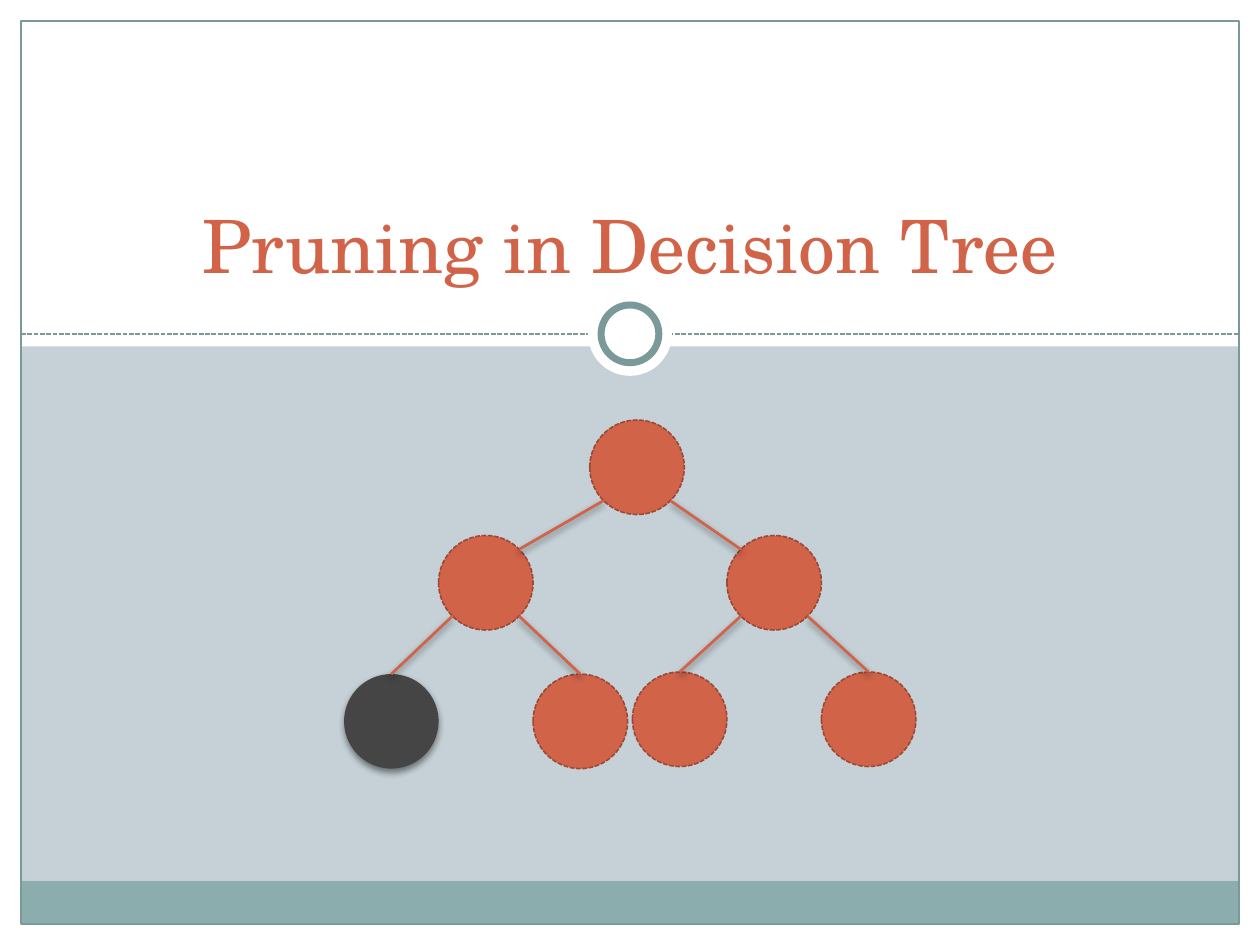
from dataclasses import dataclass
from math import sqrt

from lxml.etree import SubElement
from pptx import Presentation
from pptx.dml.color import RGBColor
from pptx.enum.dml import MSO_LINE
from pptx.enum.shapes import MSO_CONNECTOR, MSO_SHAPE
from pptx.enum.text import MSO_ANCHOR, PP_ALIGN
from pptx.oxml.ns import qn
from pptx.util import Pt


@dataclass(frozen=True)
class Theme:
    """Colours, font and type size of the deck."""
    page: str = "C5D1D7"
    white: str = "FFFFFF"
    footer: str = "8CADAE"
    rule: str = "7C999A"
    accent: str = "D16349"
    node_line: str = "9B4936"
    pruned: str = "454545"
    shadow: str = "000000"
    font: str = "TeX Gyre Schola"
    title_size: float = 42


THEME = Theme()
W, H, MARGIN = 720, 540, 12


def rgb(value):
    """Turn a hex string into a colour."""
    return RGBColor.from_string(value)


def set_line(line, color, width, dashed=False):
    """Style an outline or a connector line."""
    line.color.rgb = rgb(color)
    line.width = Pt(width)
    if dashed:
        line.dash_style = MSO_LINE.SQUARE_DOT


def add_shape(shapes, kind, box, fill=None, line=None):
    """Add a preset shape; line holds colour, width and dash."""
    sp = shapes.add_shape(kind, *map(Pt, box))
    sp.shadow.inherit = False
    if fill:
        sp.fill.solid()
        sp.fill.fore_color.rgb = rgb(fill)
    else:
        sp.fill.background()
    if line:
        set_line(sp.line, *line)
    else:
        sp.line.fill.background()
    return sp


def add_line(shapes, start, end, *style):
    """Add a straight connector with an empty effect list."""
    cxn = shapes.add_connector(MSO_CONNECTOR.STRAIGHT, *map(Pt, (*start, *end)))
    set_line(cxn.line, *style)
    SubElement(cxn._element.spPr, qn("a:effectLst"))
    return cxn


def add_shadow(sp):
    """Put a soft downward shadow into the effect list."""
    effects = sp._element.spPr.find(qn("a:effectLst"))
    shadow = SubElement(effects, qn("a:outerShdw"), blurRad=str(Pt(4)),
                        dist=str(Pt(2)), dir="5400000", rotWithShape="0")
    color = SubElement(shadow, qn("a:srgbClr"), val=THEME.shadow)
    SubElement(color, qn("a:alpha"), val="45000")


def add_frame(shapes, box):
    """Draw the white margins, footer band, dashed rule and ring."""
    x, y, w, h = box
    m, rule_y, footer_h = MARGIN, y + 190.8, 24.5
    right, bottom, mid = x + w - m, y + h - m, x + w / 2
    rect, oval = MSO_SHAPE.RECTANGLE, MSO_SHAPE.OVAL
    for band in ((x, bottom, w, m), (right, y, m, h), (x, y, m, h), (x, y, w, 198)):
        add_shape(shapes, rect, band, THEME.white)
    add_shape(shapes, rect, (x + m, bottom - footer_h, w - 2 * m, footer_h), THEME.footer)
    add_line(shapes, (x + m, rule_y), (right, rule_y), THEME.rule, 0.9, True)
    add_shape(shapes, rect, (x + m, y + m, w - 2 * m, h - 2 * m), line=(THEME.rule, 0.75))
    for d, line in ((48, None), (33, (THEME.rule, 4))):
        add_shape(shapes, oval, (mid - d / 2, rule_y - d / 2, d, d), THEME.white, line)


def add_title(shapes, box, text):
    """Add the centred title resting on the bottom of its box."""
    tf = shapes.add_textbox(*map(Pt, box)).text_frame
    tf.word_wrap = True
    tf.vertical_anchor = MSO_ANCHOR.BOTTOM
    p = tf.paragraphs[0]
    p.alignment = PP_ALIGN.CENTER
    r = p.add_run()
    r.text = text
    r.font.name = THEME.font
    r.font.size = Pt(THEME.title_size)
    r.font.color.rgb = rgb(THEME.accent)


def add_tree(shapes, box):
    """Draw a three-level binary tree whose first leaf is pruned."""
    x, y, w, h = box
    d = 54
    r, diag = d / 2, d / 2 / sqrt(2)
    root = (x + 167.4, y + r)
    left, right = (x + 1.5 * d, y + 93), (x + w - 1.5 * d, y + 93)
    left_leaves = [(left[0] + side * d, y + h - r) for side in (-1, 1)]
    right_leaves = [(right[0] + side * d, y + h - r - 1.2) for side in (-1, 1)]
    group = shapes.add_group_shape().shapes

    for cx, cy in (root, right, left, *left_leaves, *right_leaves):
        pruned = (cx, cy) == left_leaves[0]
        fill = THEME.pruned if pruned else THEME.accent
        line = None if pruned else (THEME.node_line, 0.9, True)
        sp = add_shape(group, MSO_SHAPE.OVAL, (cx - r, cy - r, d, d), fill, line)
        if pruned:
            add_shadow(sp)

    for parent, children in ((root, (left, right)), (left, left_leaves), (right, right_leaves)):
        for side, (cx, cy) in zip((-1, 1), children):
            start = (parent[0] + side * diag, parent[1] + diag)
            end = (cx - side * diag, cy - diag) if parent == root else (cx, cy - r)
            add_shadow(add_line(group, start, end, THEME.accent, 1.57))


def main():
    """Build the title slide and save it."""
    prs = Presentation()
    prs.slide_width, prs.slide_height = Pt(W), Pt(H)
    slide = prs.slides.add_slide(prs.slide_layouts[6])
    slide.background.fill.solid()
    slide.background.fill.fore_color.rgb = rgb(THEME.page)
    add_frame(slide.shapes, (0, 0, W, H))
    add_title(slide.shapes, (54, 30, 612, 138), "Pruning in Decision Tree")
    add_tree(slide.shapes, (196.6, 240, 326.8, 199.2))
    prs.save("out.pptx")


if __name__ == "__main__":
    main()
